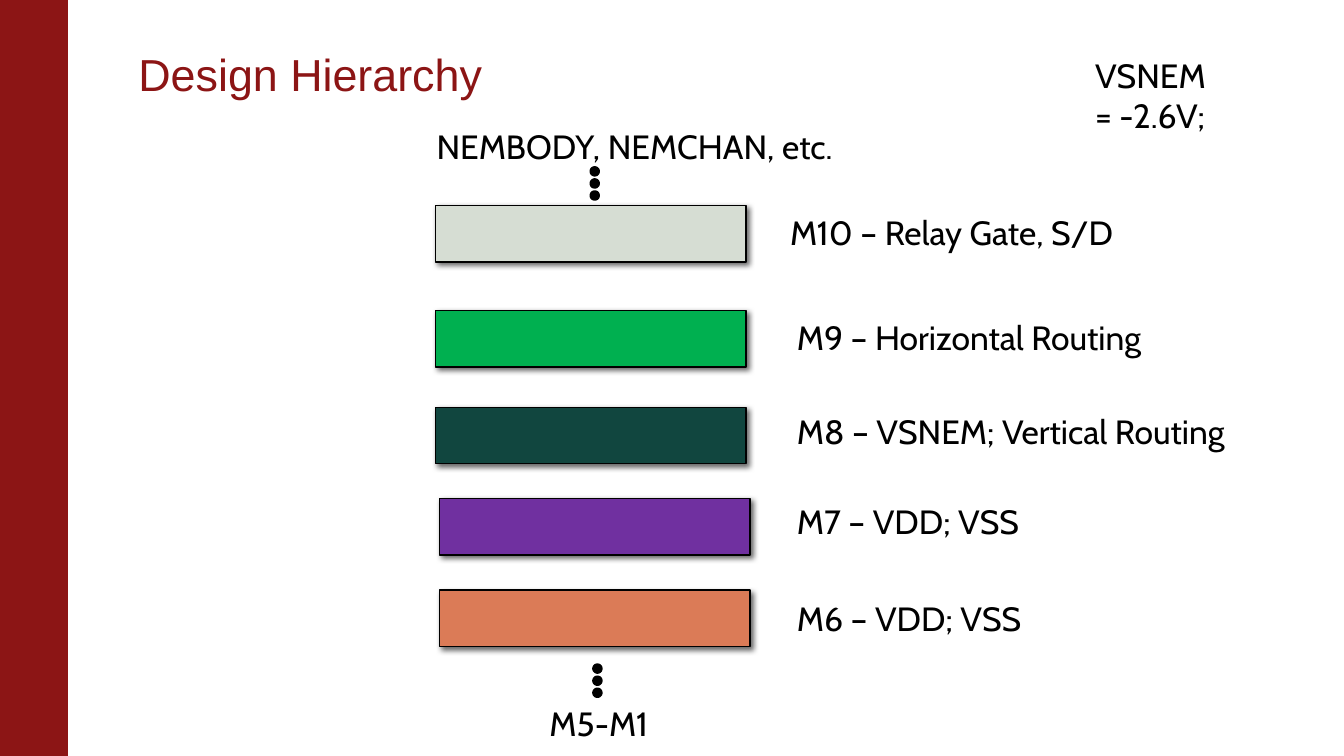
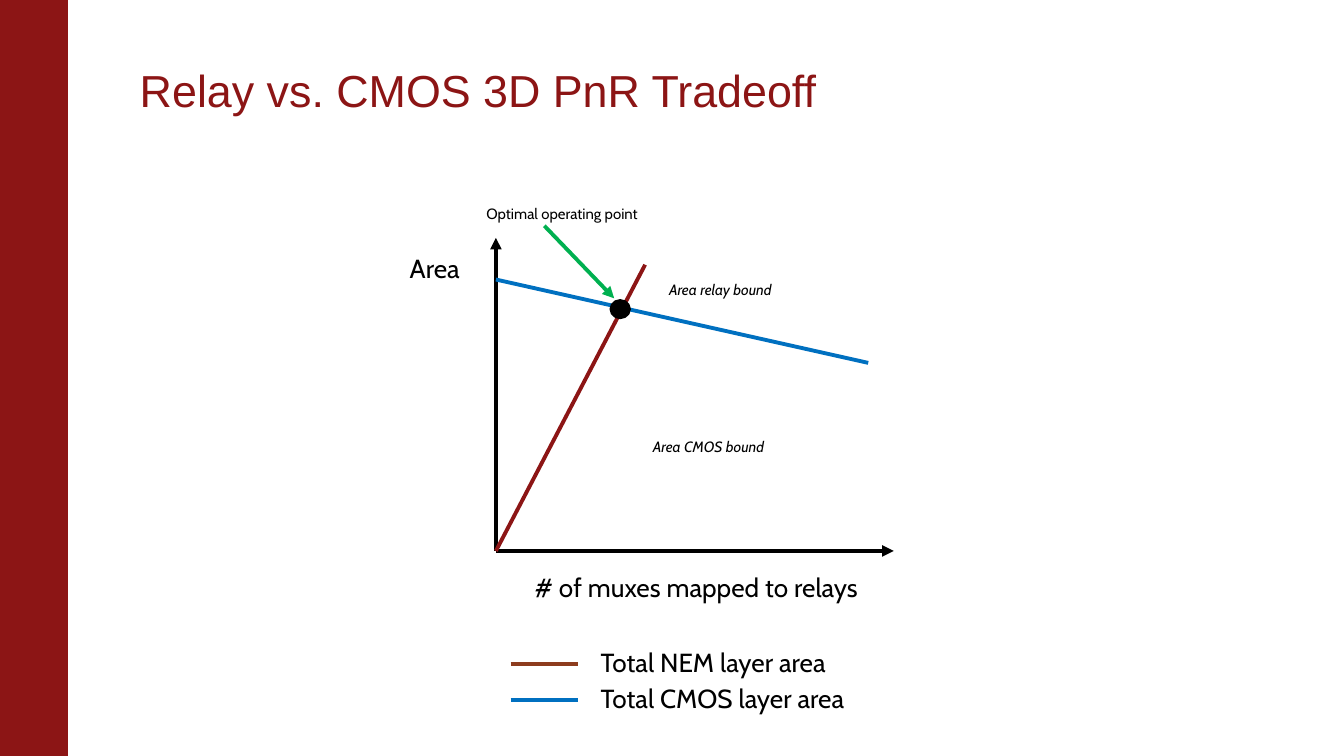
from pptx import Presentation
from pptx.dml.color import RGBColor
from pptx.enum.shapes import MSO_CONNECTOR as Connector, MSO_SHAPE as Shape
from pptx.enum.text import MSO_ANCHOR as Anchor
from pptx.oxml import parse_xml
from pptx.oxml.ns import nsdecls, qn
from pptx.util import Inches, Pt

CARDINAL = RGBColor(0x8C, 0x15, 0x15)
BLACK = RGBColor(0, 0, 0)
GRAY = RGBColor(0xD6, 0xDD, 0xD3)
GREEN = RGBColor(0x00, 0xB0, 0x50)
TEAL = RGBColor(0x11, 0x46, 0x3F)
PURPLE = RGBColor(0x70, 0x30, 0xA0)
ORANGE = RGBColor(0xDB, 0x7B, 0x57)
BLUE = RGBColor(0x00, 0x70, 0xC0)
BROWN = RGBColor(0x8D, 0x3C, 0x1E)

SLIDE_WIDTH = 10
SLIDE_HEIGHT = SLIDE_WIDTH * 9 / 16
LAYER_SHADOW = (
    f'<a:outerShdw {nsdecls("a")} blurRad="38100" dist="25400" dir="2700000">'
    '<a:srgbClr val="000000"><a:alpha val="60000"/></a:srgbClr></a:outerShdw>'
)
HEAVY = 2.08


def write(frame, text, size=18, font="Cabin", color=BLACK, italic=False, spacing=None):
    """Put one formatted paragraph into a text frame."""
    paragraph = frame.paragraphs[0]
    paragraph.line_spacing = spacing
    run = paragraph.add_run()
    run.text = text
    run.font.size = Pt(size)
    run.font.name = font
    run.font.color.rgb = color
    run.font.italic = italic


class Deck:
    """Hold the shared style and the slide being drawn."""

    def __init__(self):
        """Open an empty widescreen presentation."""
        self.presentation = Presentation()
        self.presentation.slide_width = Inches(SLIDE_WIDTH)
        self.presentation.slide_height = Inches(SLIDE_HEIGHT)
        self.slide = None

    def add_slide(self, title, left, top):
        """Start a slide with the side band and a title."""
        self.slide = self.presentation.slides.add_slide(self.presentation.slide_layouts[6])
        self.shape(Shape.RECTANGLE, 0, 0, 0.5, SLIDE_HEIGHT, CARDINAL, CARDINAL)
        frame = self.text(title, left, top, 8.43, 0.53, size=24, font="Arial",
                          color=CARDINAL, spacing=0.85)
        frame.margin_left = 0
        frame.vertical_anchor = Anchor.BOTTOM

    def shape(self, kind, left, top, width, height, fill, outline=BLACK, weight=0.75):
        """Draw a filled and outlined preset shape."""
        shape = self.slide.shapes.add_shape(
            kind, Inches(left), Inches(top), Inches(width), Inches(height))
        shape.shadow.inherit = False
        shape.fill.solid()
        shape.fill.fore_color.rgb = fill
        shape.line.color.rgb = outline
        shape.line.width = Pt(weight)
        return shape

    def layer(self, left, top, fill):
        """Draw a metal layer bar with a soft shadow."""
        shape = self.shape(Shape.RECTANGLE, left, top, 2.31, 0.42, fill)
        effects = shape.element.spPr.find(qn("a:effectLst"))
        effects.append(parse_xml(LAYER_SHADOW))

    def dot(self, left, top, width=0.05, height=0.05):
        """Draw a black dot."""
        self.shape(Shape.OVAL, left, top, width, height, BLACK, weight=HEAVY)

    def ellipsis(self, left, top):
        """Stack three dots vertically."""
        for index in range(3):
            self.dot(left, top + 0.09 * index)

    def text(self, text, left, top, width, height=0.4, **style):
        """Add a wrapping text box and return its frame."""
        box = self.slide.shapes.add_textbox(
            Inches(left), Inches(top), Inches(width), Inches(height))
        box.text_frame.word_wrap = True
        write(box.text_frame, text, **style)
        return box.text_frame

    def line(self, start, end, color=BLACK, arrow=False):
        """Draw a straight line, with an arrowhead at its end if asked."""
        points = [Inches(value) for value in (*start, *end)]
        connector = self.slide.shapes.add_connector(Connector.STRAIGHT, *points)
        connector.line.color.rgb = color
        connector.line.width = Pt(HEAVY)
        properties = connector.element.spPr
        if arrow:
            head = parse_xml(f'<a:tailEnd {nsdecls("a")} type="triangle"/>')
            properties.find(qn("a:ln")).append(head)
        properties.append(parse_xml(f'<a:effectLst {nsdecls("a")}/>'))


def draw_hierarchy(deck):
    """Draw the stack of metal layers."""
    deck.add_slide("Design Hierarchy", 1.03, 0.27)
    layers = [
        (3.24, 1.53, GRAY, "M10 – Relay Gate, S/D", 5.78, 1.53),
        (3.24, 2.31, GREEN, "M9 – Horizontal Routing", 5.83, 2.31),
        (3.24, 3.03, TEAL, "M8 – VSNEM; Vertical Routing", 5.83, 3.01),
        (3.27, 3.71, PURPLE, "M7 – VDD; VSS", 5.83, 3.68),
        (3.27, 4.39, ORANGE, "M6 – VDD; VSS", 5.83, 4.4),
    ]
    for left, top, fill, label, label_left, label_top in layers:
        deck.layer(left, top, fill)
        deck.text(label, label_left, label_top, 3.41)
    deck.ellipsis(4.4, 1.25)
    deck.ellipsis(4.42, 4.95)
    deck.text("NEMBODY, NEMCHAN, etc.", 3.15, 0.89, 5.42)
    deck.text("M5-M1", 3.99, 5.18, 5)
    deck.text("VSNEM = -2.6V;", 8.05, 0.36, 1.04, 1.01)


def draw_tradeoff(deck):
    """Draw the area tradeoff diagram and its legend."""
    deck.add_slide("Relay vs. CMOS 3D PnR Tradeoff", 1.04, 0.39)
    origin = (3.69, 4.1)
    deck.line(origin, (3.69, 1.77), arrow=True)
    deck.line(origin, (6.65, 4.1), arrow=True)
    deck.line((3.69, 2.08), (6.46, 2.7), BLUE)
    deck.line(origin, (4.8, 1.97), CARDINAL)
    deck.dot(4.55, 2.24, 0.13, 0.12)
    deck.line((4.05, 1.68), (4.57, 2.22), GREEN, arrow=True)

    deck.text("Area", 2.95, 1.83, 0.94, 0.34, size=14)
    deck.text("# of muxes mapped to relays", 3.88, 4.2, 2.95, 0.34, size=14)
    notes = [
        ("Optimal operating point", 3.52, 1.47, False),
        ("Area relay bound", 4.88, 2.04, True),
        ("Area CMOS bound", 4.76, 3.21, True),
    ]
    for note, left, top, italic in notes:
        deck.text(note, left, top, 1.7, 0.24, size=8, italic=italic)

    legend = [("Total NEM layer area", BROWN), ("Total CMOS layer area", BLUE)]
    for index, (label, color) in enumerate(legend):
        middle = 4.94 + 0.27 * index
        deck.line((3.8, middle), (4.3, middle), color)
        deck.text(label, 4.37, middle - 0.18, 2.04, 0.34, size=14)


def main():
    """Build both slides and save them."""
    deck = Deck()
    draw_hierarchy(deck)
    draw_tradeoff(deck)
    deck.presentation.save("out.pptx")


if __name__ == "__main__":
    main()
